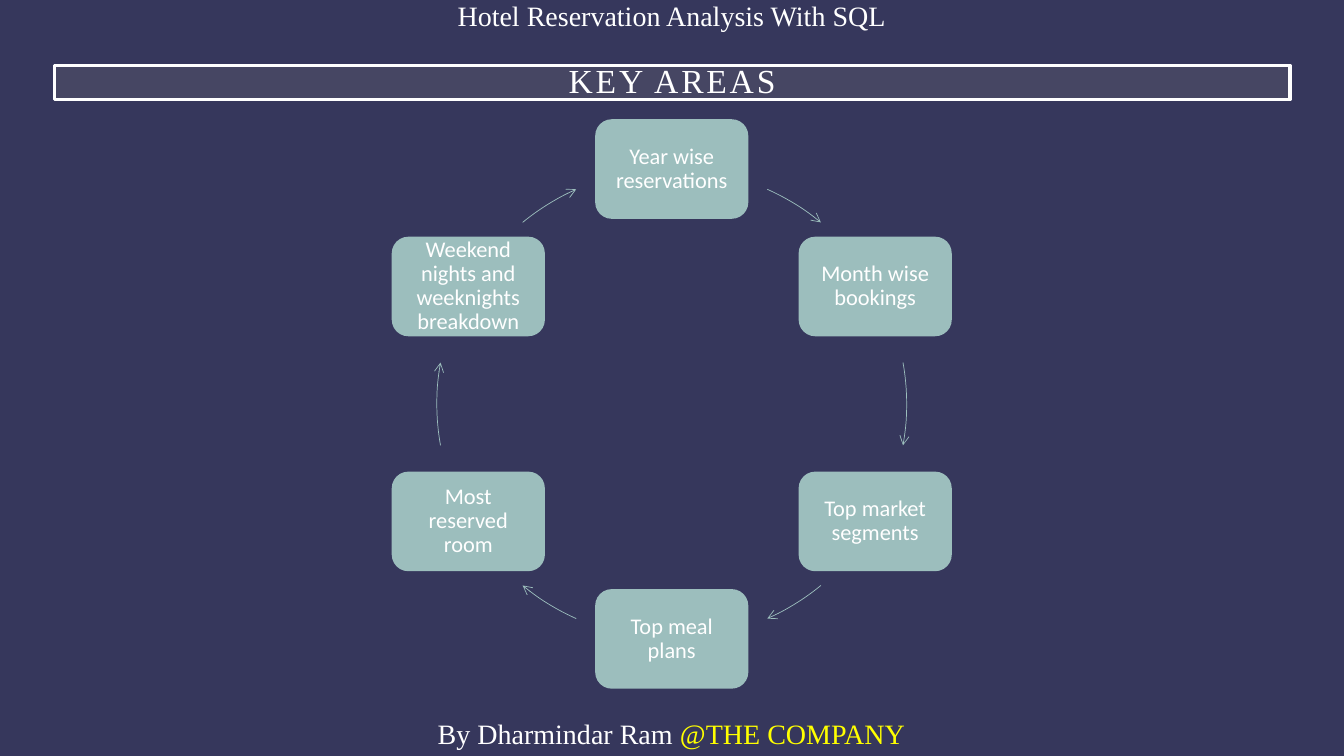
"""Build the key areas slide of the hotel reservation analysis."""
import math

from lxml import etree
from pptx import Presentation
from pptx import util as u
from pptx.dml import color
from pptx.enum import shapes, text
from pptx.oxml import ns

COLOURS = {"night": "36375C", "stone": "A7A08E", "sage": "9CBEBD",
           "white": "FFFFFF", "yellow": "FFFF00"}
AREAS = ["Year wise reservations", "Month wise bookings", "Top market segments",
         "Top meal plans", "Most reserved room",
         "Weekend nights and weeknights breakdown"]
ARROWS = [(31.7, 7.7), (90, 10.15), (148.3, 7.7),
          (211.7, 7.7), (270, 10.15), (328.3, 7.7)]
CENTRE_X, CENTRE_Y, RADIUS = 16.93, 10.18, 5.92
BOX_WIDTH, BOX_HEIGHT = 3.86, 2.51
SERIF, SANS = "Times New Roman", "Calibri"


def rgb(name):
    """Return a named colour."""
    return color.RGBColor.from_string(COLOURS[name])


def apply(target, values):
    """Set every attribute in a dict of format values."""
    for name, value in values.items():
        setattr(target, name, value)


def place(part, left, top, width, height):
    """Position and size a part, given in centimetres."""
    apply(part, {"left": u.Cm(left), "top": u.Cm(top),
                 "width": u.Cm(width), "height": u.Cm(height)})


def paint(part, fill, line=None, width=0):
    """Fill a part and draw or hide its outline."""
    part.fill.solid()
    part.fill.fore_color.rgb = rgb(fill)
    if line:
        part.line.color.rgb = rgb(line)
        part.line.width = u.Pt(width)
    else:
        part.line.fill.background()


def write(part, pieces, font, size, spacing=1.0, **frame_format):
    """Write centred text as (wording, colour) pieces and return its runs."""
    frame = part.text_frame
    apply(frame, {"word_wrap": True, **frame_format})
    paragraph = frame.paragraphs[0]
    apply(paragraph, {"alignment": text.PP_ALIGN.CENTER, "line_spacing": spacing})
    for wording, colour in pieces:
        run = paragraph.add_run()
        run.text = wording
        apply(run.font, {"name": font, "size": u.Pt(size)})
        run.font.color.rgb = rgb(colour)
    return paragraph.runs


def insets(margin):
    """Return equal margins on all four sides."""
    return {f"margin_{side}": u.Cm(margin) for side in ("left", "top", "right", "bottom")}


def add_heading(slide):
    """Turn the title placeholder into the framed heading bar."""
    heading = slide.shapes.title
    place(heading, 1.37, 1.65, 31.14, 0.86)
    paint(heading, "stone", "white", 2.5)
    tint = heading.fill._xPr.find(".//" + ns.qn("a:srgbClr"))
    etree.SubElement(tint, ns.qn("a:alpha"), val="15000")
    runs = write(heading, [("KEY AREAS", "white")], SERIF, 24, 0.9,
                 vertical_anchor=text.MSO_ANCHOR.MIDDLE,
                 auto_size=text.MSO_AUTO_SIZE.NONE, **insets(0.51))
    runs[0].font._element.set("spc", "200")


def add_caption(slide, left, top, width, pieces):
    """Add a one-line caption."""
    caption = slide.shapes.add_textbox(0, 0, 0, 0)
    place(caption, left, top, width, 1.12)
    write(caption, pieces, SERIF, 20, auto_size=text.MSO_AUTO_SIZE.SHAPE_TO_FIT_TEXT)


def add_area(slide, wording, angle):
    """Add one key area on the ring, at a clockwise angle from the top."""
    area = slide.shapes.add_shape(shapes.MSO_SHAPE.ROUNDED_RECTANGLE, 0, 0, 0, 0)
    turn = math.radians(angle)
    place(area, CENTRE_X + RADIUS * math.sin(turn) - BOX_WIDTH / 2,
          CENTRE_Y - RADIUS * math.cos(turn) - BOX_HEIGHT / 2, BOX_WIDTH, BOX_HEIGHT)
    area.shadow.inherit = False
    paint(area, "sage")
    write(area, [(wording, "white")], SANS, 16, 0.9,
          vertical_anchor=text.MSO_ANCHOR.MIDDLE, **insets(0.18))


def add_ring_arrow(slide, middle, half_span):
    """Add a curved arrow along the ring, around a clockwise angle."""
    arrow = slide.shapes.add_shape(shapes.MSO_SHAPE.ARC, 0, 0, 0, 0)
    place(arrow, CENTRE_X - RADIUS, CENTRE_Y - RADIUS, 2 * RADIUS, 2 * RADIUS)
    for index, angle in enumerate((middle - half_span, middle + half_span)):
        arrow.adjustments[index] = (angle - 90) % 360 * 0.6
    arrow.shadow.inherit = False
    arrow.fill.background()
    arrow.line.color.rgb = rgb("sage")
    arrow.line.width = u.Pt(0.5)
    etree.SubElement(arrow.line._get_or_add_ln(), ns.qn("a:tailEnd"), type="arrow")


def main():
    """Build and save the slide."""
    deck = Presentation()
    apply(deck, {"slide_width": u.Cm(33.87), "slide_height": u.Cm(19.05)})
    slide = deck.slides.add_slide(deck.slide_layouts[5])
    slide.background.fill.solid()
    slide.background.fill.fore_color.rgb = rgb("night")
    add_caption(slide, 10.34, -0.15, 13.18,
                [("Hotel Reservation Analysis With SQL", "white")])
    add_heading(slide)
    for index, (wording, (middle, half_span)) in enumerate(zip(AREAS, ARROWS)):
        add_area(slide, wording, 60 * index)
        add_ring_arrow(slide, middle, half_span)
    add_caption(slide, 7.09, 17.93, 19.66,
                [("By Dharmindar Ram ", "white"), ("@THE COMPANY", "yellow")])
    deck.save("out.pptx")


if __name__ == "__main__":
    main()
